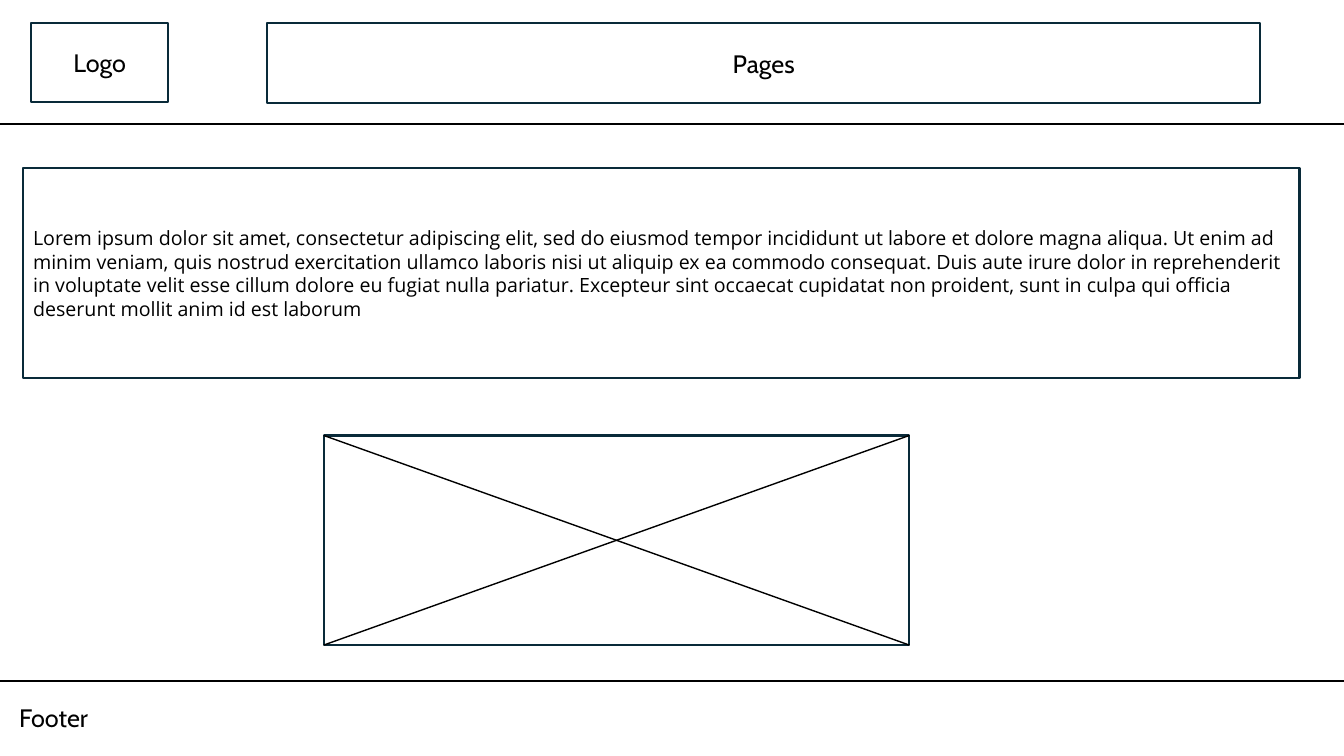
from pptx import Presentation
from pptx import util as u
from pptx.dml.color import RGBColor
from pptx.enum import shapes, text
from pptx.oxml.ns import qn
from lxml import etree

WIDTH, HEIGHT = 13.33, 7.5
LOREM = (
    "Lorem ipsum dolor sit amet, consectetur adipiscing elit, sed do eiusmod "
    "tempor incididunt ut labore et dolore magna aliqua. Ut enim ad minim veniam, "
    "quis nostrud exercitation ullamco laboris nisi ut aliquip ex ea commodo "
    "consequat. Duis aute irure dolor in reprehenderit in voluptate velit esse "
    "cillum dolore eu fugiat nulla pariatur. Excepteur sint occaecat cupidatat non "
    "proident, sunt in culpa qui officia deserunt mollit anim id est laborum"
)


def colour(value):
    return RGBColor.from_string(value)


def write(frame, words, font="Cabin", size=18, ink="000000",
          align=text.PP_ALIGN.CENTER, anchor=text.MSO_ANCHOR.MIDDLE, wrap=True):
    frame.word_wrap = wrap
    frame.vertical_anchor = anchor
    paragraph = frame.paragraphs[0]
    paragraph.alignment = align
    run = paragraph.add_run()
    run.text = words
    run.font.name = font
    run.font.size = u.Pt(size)
    run.font.color.rgb = colour(ink)


class Wireframe:
    ink, border, paper = "000000", "092A39", "FFFFFF"

    def __init__(self, slide):
        self.slide = slide

    def box(self, left, top, width, height, words="", **style):
        panel = self.slide.shapes.add_shape(
            shapes.MSO_SHAPE.RECTANGLE, *map(u.Inches, (left, top, width, height)))
        panel.shadow.inherit = False
        panel.fill.solid()
        panel.fill.fore_color.rgb = colour(self.paper)
        panel.line.color.rgb = colour(self.border)
        panel.line.width = u.Pt(1.5)
        if words:
            write(panel.text_frame, words, **style)

    def line(self, x1, y1, x2, y2, weight=1):
        rule = self.slide.shapes.add_connector(
            shapes.MSO_CONNECTOR.STRAIGHT, *map(u.Inches, (x1, y1, x2, y2)))
        rule.line.color.rgb = colour(self.ink)
        rule.line.width = u.Pt(weight)
        etree.SubElement(rule._element.spPr, qn("a:effectLst"))

    def label(self, left, top, width, height, words, **style):
        caption = self.slide.shapes.add_textbox(
            *map(u.Inches, (left, top, width, height)))
        write(caption.text_frame, words, wrap=False, align=text.PP_ALIGN.LEFT,
              anchor=text.MSO_ANCHOR.TOP, **style)
        caption.text_frame.auto_size = text.MSO_AUTO_SIZE.SHAPE_TO_FIT_TEXT

    def image_area(self, left, top, width, height):
        right, bottom = left + width, top + height
        self.box(left, top, width, height)
        self.line(left, bottom, right, top)
        self.line(left, top, right, bottom)


def main():
    deck = Presentation()
    deck.slide_width, deck.slide_height = u.Inches(WIDTH), u.Inches(HEIGHT)
    page = Wireframe(deck.slides.add_slide(deck.slide_layouts[6]))

    # Header
    page.line(0, 1.23, WIDTH, 1.23)
    page.box(0.31, 0.23, 1.36, 0.78, "Logo")
    page.box(2.65, 0.23, 9.85, 0.79, "Pages")

    # Body text
    page.box(0.23, 1.67, 12.66, 2.08, LOREM, font="Open Sans", size=14,
             align=text.PP_ALIGN.LEFT)

    # Footer
    page.line(0, 6.76, WIDTH, 6.76, weight=1.5)
    page.label(0.09, 6.92, 0.91, 0.4, "Footer")

    # Crossed image area
    page.image_area(3.21, 4.32, 5.81, 2.08)

    deck.save("out.pptx")


if __name__ == "__main__":
    main()
